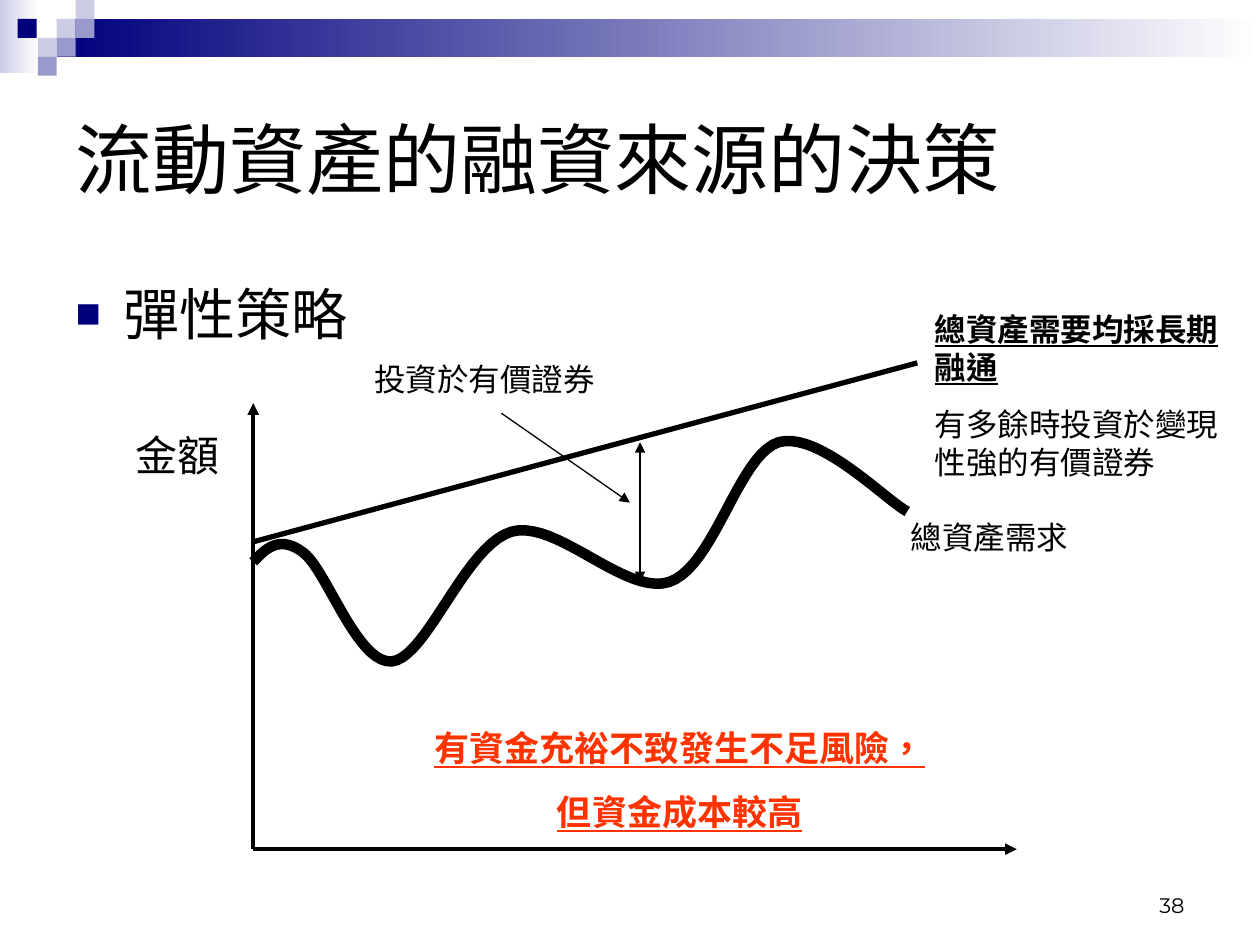
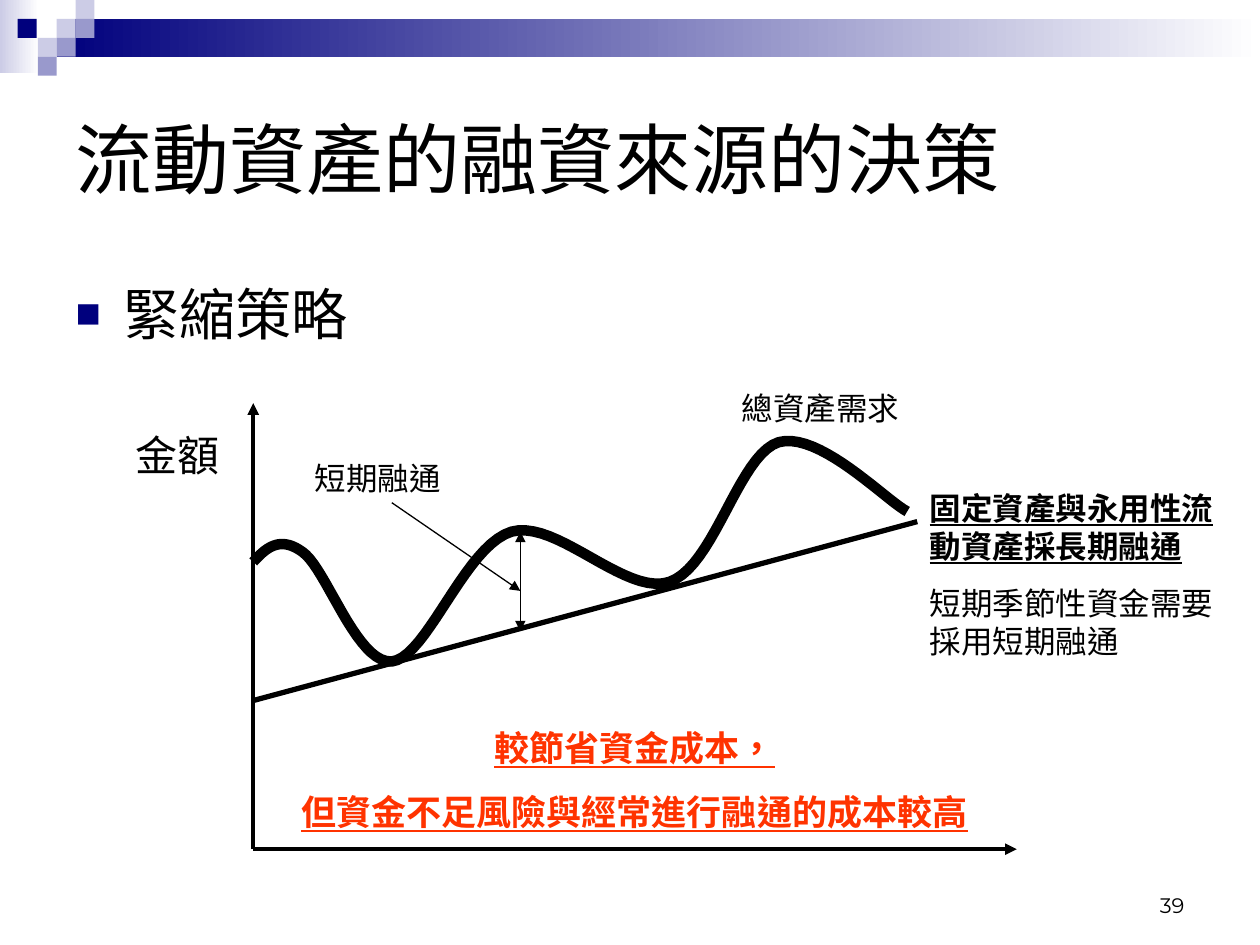
import pptx
import pptx.dml.color
import pptx.enum.lang
import pptx.enum.shapes
import pptx.enum.text
import pptx.oxml
import pptx.oxml.ns
import pptx.util
from lxml import etree

Inches = pptx.util.Inches
Pt = pptx.util.Pt
RGBColor = pptx.dml.color.RGBColor
ALIGN = pptx.enum.text.PP_ALIGN
ANCHOR = pptx.enum.text.MSO_ANCHOR
AUTO_SIZE = pptx.enum.text.MSO_AUTO_SIZE
RECTANGLE = pptx.enum.shapes.MSO_SHAPE.RECTANGLE
STRAIGHT = pptx.enum.shapes.MSO_CONNECTOR.STRAIGHT
CHINESE = pptx.enum.lang.MSO_LANGUAGE_ID.TRADITIONAL_CHINESE
qn = pptx.oxml.ns.qn

BLACK = RGBColor(0x00, 0x00, 0x00)
WHITE = RGBColor(0xFF, 0xFF, 0xFF)
NAVY = RGBColor(0x00, 0x00, 0x7D)
LILAC = RGBColor(0x99, 0x99, 0xCC)
PALE = RGBColor(0xCC, 0xCC, 0xE6)
RED = RGBColor(0xFF, 0x33, 0x00)

TITLE = "流動資產的融資來源的決策"
SQUARE = 0.15
# left, top, width, height, colours from left to right
HEADER = [
    (0, 0, 0.31, 0.58, (PALE, WHITE)),
    (0.45, 0.15, 9.55, 0.3, (NAVY, WHITE)),
] + [
    (left, top, SQUARE, SQUARE, (colour,))
    for left, top, colour in [
        (0.45, 0.15, PALE), (0.6, 0, PALE), (0.6, 0.15, LILAC),
        (0.3, 0.3, PALE), (0.14, 0.15, NAVY), (0.45, 0.3, LILAC),
        (0.3, 0.45, LILAC),
    ]
]

# Asset demand: start point, then two control points and an end per curve
ORIGIN = (2.01, 6.74)
DEMAND_START = (2.01, 4.46)
DEMAND_CURVES = [
    ((2.11, 4.35), (2.22, 4.25), (2.4, 4.38)),
    ((2.59, 4.51), (2.83, 5.27), (3.11, 5.25)),
    ((3.39, 5.22), (3.69, 4.33), (4.06, 4.22)),
    ((4.42, 4.12), (4.96, 4.73), (5.31, 4.62)),
    ((5.67, 4.5), (5.86, 3.61), (6.18, 3.51)),
    ((6.5, 3.42), (7.03, 3.97), (7.2, 4.06)),
]
CURVE_STEPS = 20

STRATEGIES = [
    {
        "name": "彈性策略", "page": "38",
        "financing": ((2.01, 4.3), (7.28, 2.88)),
        "gap": ((5.08, 3.51), (5.08, 4.62)),
        "pointer": ((3.98, 3.28), (5, 3.99)),
        "gap_label": ("投資於有價證券", (2.87, 2.81, 2.05, 0.4)),
        "demand_box": (7.13, 4.06, 1.5, 0.4),
        "policy": ("總資產需要均採長期融通", "有多餘時投資於變現性強的有價證券"),
        "policy_box": (7.32, 2.41, 2.68, 1.46),
        "verdict": ("有資金充裕不致發生不足風險，", "但資金成本較高"),
        "verdict_box": (2.56, 5.72, 5.67, 0.94),
    },
    {
        "name": "緊縮策略", "page": "39",
        "financing": ((2.01, 5.56), (7.28, 4.14)),
        "gap": ((4.13, 4.22), (4.13, 5.01)),
        "pointer": ((3.11, 3.99), (4.13, 4.69)),
        "gap_label": ("短期融通", (2.4, 3.59, 2.05, 0.4)),
        "demand_box": (5.79, 3.04, 1.5, 0.4),
        "policy": ("固定資產與永用性流動資產採長期融通", "短期季節性資金需要採用短期融通"),
        "policy_box": (7.28, 3.83, 2.52, 1.46),
        "verdict": ("較節省資金成本，", "但資金不足風險與經常進行融通的成本較高"),
        "verdict_box": (2.24, 5.72, 5.59, 0.94),
    },
]


def write_text(shape, box, lines, size, before=0, colour=BLACK, font="Arial",
               align=ALIGN.LEFT, anchor=ANCHOR.TOP, strong=0,
               fit=AUTO_SIZE.SHAPE_TO_FIT_TEXT):
    """Place a shape and fill it; the first `strong` lines are bold and underlined."""
    shape.left, shape.top, shape.width, shape.height = map(Inches, box)
    frame = shape.text_frame
    frame.word_wrap = True
    frame.auto_size = fit
    frame.vertical_anchor = anchor
    for number, line in enumerate(lines):
        paragraph = frame.add_paragraph() if number else frame.paragraphs[0]
        paragraph.alignment = align
        paragraph.space_before = Pt(before)
        run = paragraph.add_run()
        run.text = line
        run.font.name = font
        run.font.size = Pt(size)
        run.font.color.rgb = colour
        run.font.bold = run.font.underline = number < strong
        run.font.language_id = CHINESE


def add_line(slide, ends, width, arrows=()):
    (x1, y1), (x2, y2) = ends
    line = slide.shapes.add_connector(
        STRAIGHT, Inches(x1), Inches(y1), Inches(x2), Inches(y2))
    line.line.color.rgb = BLACK
    line.line.width = Pt(width)
    properties = line._element.spPr
    for arrow in arrows:
        etree.SubElement(properties.find(qn("a:ln")), qn(f"a:{arrow}"), type="triangle")
    etree.SubElement(properties, qn("a:effectLst"))


deck = pptx.Presentation()
deck.slide_width, deck.slide_height = Inches(10), Inches(7.5)

demand_points = []
start = DEMAND_START
for first, second, end in DEMAND_CURVES:
    for step in range(1, CURVE_STEPS + 1):
        t = step / CURVE_STEPS
        demand_points.append(tuple(
            Inches((1 - t) ** 3 * a + 3 * (1 - t) ** 2 * t * b
                   + 3 * (1 - t) * t ** 2 * c + t ** 3 * d)
            for a, b, c, d in zip(start, first, second, end)))
    start = end

for strategy in STRATEGIES:
    slide = deck.slides.add_slide(deck.slide_layouts[1])
    shapes = slide.shapes

    for left, top, width, height, colours in HEADER:
        block = shapes.add_shape(
            RECTANGLE, Inches(left), Inches(top), Inches(width), Inches(height))
        block.shadow.inherit = False
        block.line.fill.background()
        if len(colours) == 1:
            block.fill.solid()
            block.fill.fore_color.rgb = colours[0]
        else:
            block.fill.gradient()
            block.fill.gradient_angle = 0
            for stop, colour in zip(block.fill.gradient_stops, colours):
                stop.color.rgb = colour

    write_text(shapes.title, (0.5, 0.5, 9, 1.5), [TITLE], 44,
               anchor=ANCHOR.MIDDLE, fit=AUTO_SIZE.NONE)
    heading = slide.placeholders[1]
    write_text(heading, (0.5, 2.17, 9.3, 5.13), [strategy["name"]], 32, 8,
               fit=AUTO_SIZE.NONE)
    bullet = heading.text_frame.paragraphs[0]._p.get_or_add_pPr()
    bullet.set("marL", str(Inches(0.38)))
    bullet.set("indent", str(Inches(-0.38)))
    bullet_colour = etree.SubElement(bullet, qn("a:buClr"))
    etree.SubElement(bullet_colour, qn("a:srgbClr"), val=str(NAVY))
    etree.SubElement(bullet, qn("a:buSzPct"), val="75000")
    etree.SubElement(bullet, qn("a:buFont"), typeface="Arial")
    etree.SubElement(bullet, qn("a:buChar"), char="■")

    for axis_end in [(2.01, 3.2), (8.07, 6.74)]:
        add_line(slide, (ORIGIN, axis_end), 2.25, ["tailEnd"])
    add_line(slide, strategy["financing"], 3)

    outline = shapes.build_freeform(*map(Inches, DEMAND_START))
    outline.add_line_segments(demand_points, close=False)
    demand = outline.convert_to_shape()
    demand.shadow.inherit = False
    demand.fill.background()
    demand.line.color.rgb = BLACK
    demand.line.width = Pt(6)

    add_line(slide, strategy["gap"], 0.75, ["headEnd", "tailEnd"])
    add_line(slide, strategy["pointer"], 0.75, ["tailEnd"])

    gap_text, gap_box = strategy["gap_label"]
    for box, lines, size, before, style in [
        ((0.98, 3.36, 1.02, 0.5), ["金額"], 24, 15, {}),
        (strategy["demand_box"], ["總資產需求"], 18, 11.2, {}),
        (strategy["policy_box"], strategy["policy"], 18, 11.2, {"strong": 1}),
        (gap_box, [gap_text], 18, 11.2, {}),
        (strategy["verdict_box"], strategy["verdict"], 20, 12.5,
         {"strong": 2, "colour": RED, "align": ALIGN.CENTER}),
        ((7.17, 6.83, 2.33, 0.5), [strategy["page"]], 12, 0,
         {"font": "Montserrat", "align": ALIGN.RIGHT, "anchor": ANCHOR.BOTTOM,
          "fit": AUTO_SIZE.NONE}),
    ]:
        write_text(shapes.add_textbox(0, 0, 0, 0), box, lines, size, before, **style)

deck.save("out.pptx")
